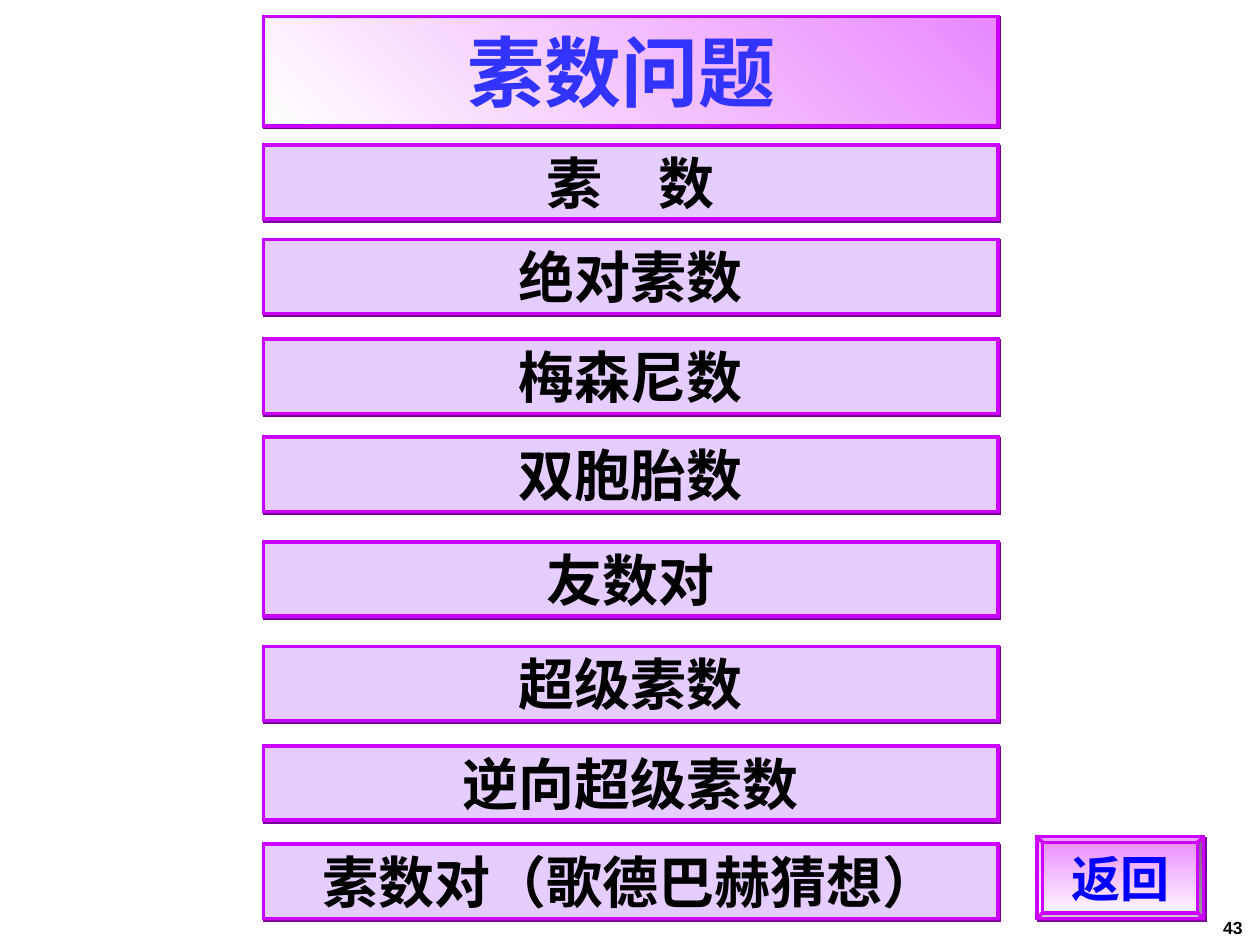
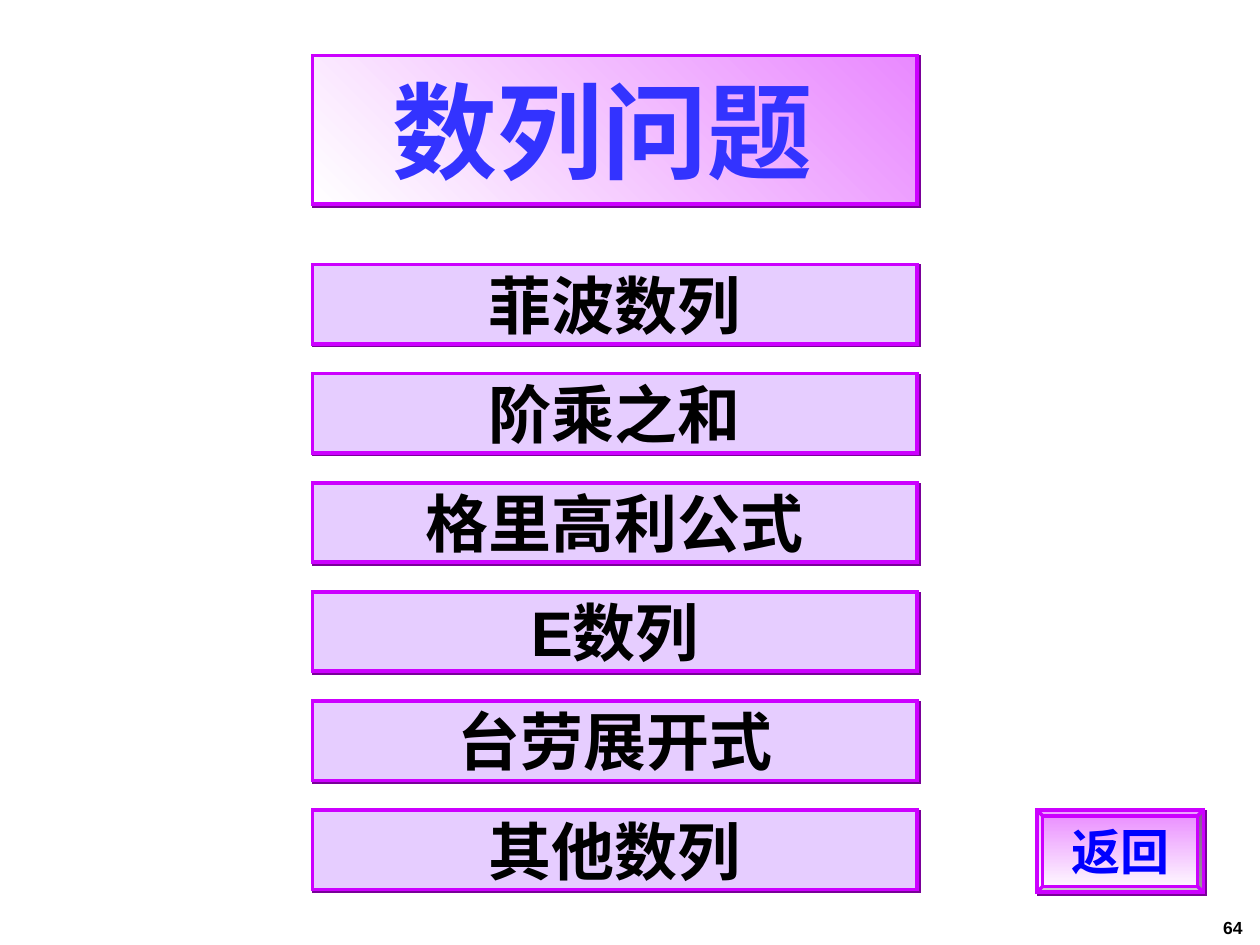
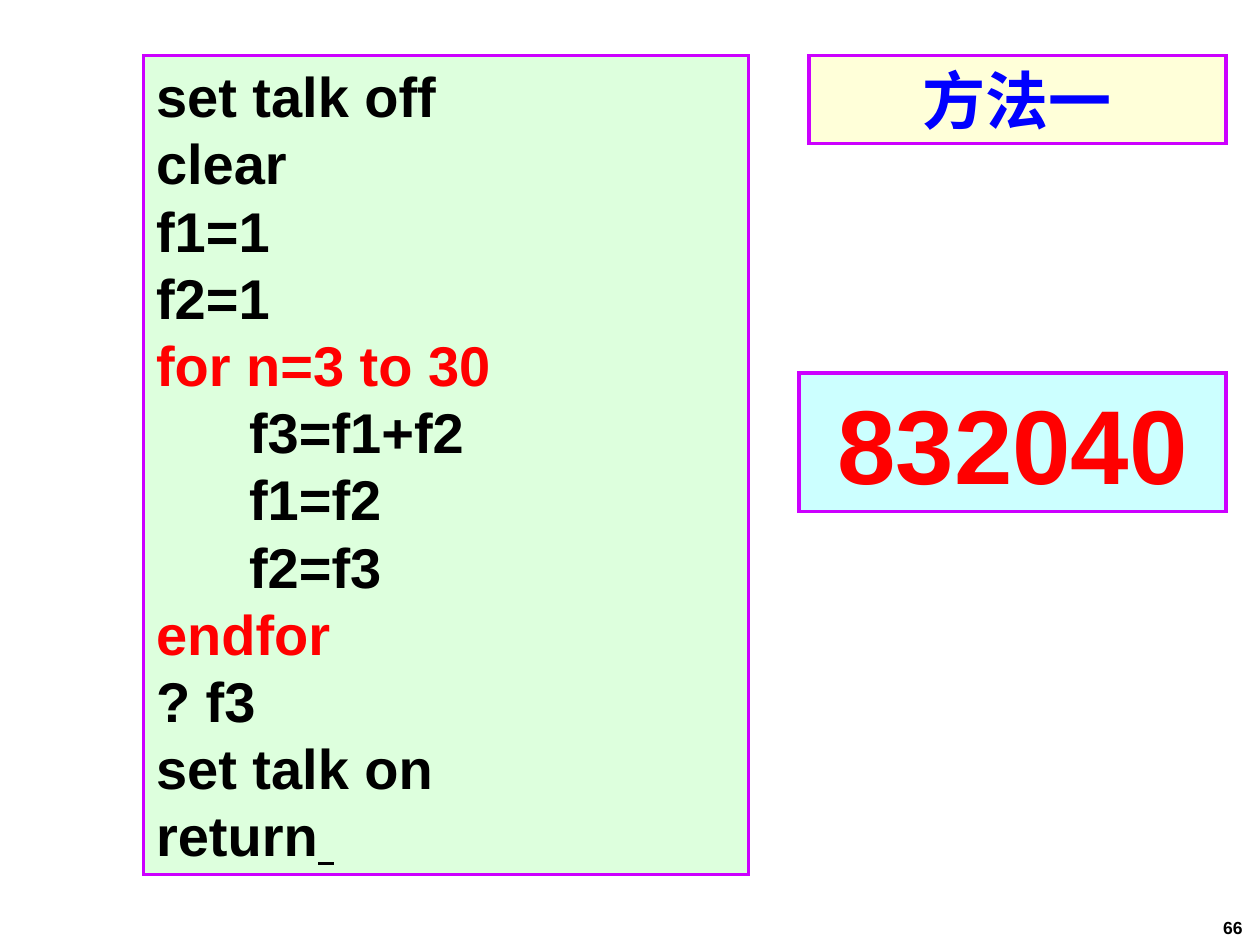
import pptx
import pptx.util
import pptx.dml.color
import pptx.enum.shapes
import pptx.enum.text
import pptx.oxml
import pptx.oxml.ns

Inches, Pt = pptx.util.Inches, pptx.util.Pt
RGBColor = pptx.dml.color.RGBColor
ALIGN = pptx.enum.text.PP_ALIGN
ANCHOR = pptx.enum.text.MSO_ANCHOR
SHAPE = pptx.enum.shapes.MSO_SHAPE

PURPLE = RGBColor(0xCC, 0x00, 0xFF)
SHADOW = RGBColor(0x7A, 0x00, 0x99)
PINK = RGBColor(0xE9, 0x89, 0xFF)
LILAC = RGBColor(0xE6, 0xCD, 0xFF)
GREEN = RGBColor(0xDD, 0xFF, 0xDD)
CYAN = RGBColor(0xCC, 0xFF, 0xFF)
CREAM = RGBColor(0xFF, 0xFF, 0xD9)
WHITE = RGBColor(0xFF, 0xFF, 0xFF)
BLACK = RGBColor(0x00, 0x00, 0x00)
RED = RGBColor(0xFF, 0x00, 0x00)
BLUE = RGBColor(0x00, 0x00, 0xFF)
TITLE_BLUE = RGBColor(0x33, 0x33, 0xFF)
SANS, SERIF = "Arial", "Times New Roman"

PRIMES = ["素　数", "绝对素数", "梅森尼数", "双胞胎数", "友数对", "超级素数",
          "逆向超级素数", "素数对（歌德巴赫猜想）"]
PRIME_TOPS = [1.15, 1.9, 2.69, 3.47, 4.3, 5.13, 5.92, 6.7]
SERIES = ["菲波数列", "阶乘之和", "格里高利公式", "E数列", "台劳展开式", "其他数列"]
SERIES_TOPS = [2.1 + (6.43 - 2.1) / 5 * i for i in range(len(SERIES))]
CODE = ["set talk off", "clear", "f1=1", "f2=1", "for n=3 to 30", "      f3=f1+f2",
        "      f1=f2", "      f2=f3", "endfor", "? f3", "set talk on", "return"]
LOOP_LINES = ("for n=3 to 30", "endfor")


def style_font(font, size, color, name):
    """Set a bold font."""
    font.size, font.bold, font.name = Pt(size), True, name
    font.color.rgb = color


def write(sp, text, size, color, name, anchor=ANCHOR.MIDDLE):
    """Write one centred line into a shape."""
    tf = sp.text_frame
    tf.word_wrap = True
    tf.vertical_anchor = anchor
    p = tf.paragraphs[0]
    p.text = text
    p.alignment = ALIGN.CENTER
    style_font(p.font, size, color, name)


def cast_shadow(sp):
    """Add the small hard shadow down and to the right."""
    xml = (f'<a:outerShdw {pptx.oxml.ns.nsdecls("a")} dist="{Pt(1.4)}" dir="2700000" '
           f'algn="ctr" rotWithShape="0"><a:srgbClr val="{SHADOW}"/></a:outerShdw>')
    effects = sp._element.spPr.find(pptx.oxml.ns.qn("a:effectLst"))
    effects.append(pptx.oxml.parse_xml(xml))


def fill_gradient(sp, start, end, angle):
    """Fill a shape with a two-colour linear gradient."""
    sp.fill.gradient()
    sp.fill.gradient_angle = angle
    for stop, color in zip(sp.fill.gradient_stops, (start, end)):
        stop.color.rgb = color


def add_panel(s, box, color, preset=SHAPE.RECTANGLE):
    """Add a shape with a plain fill and a purple mitred border."""
    sp = s.shapes.add_shape(preset, *map(Inches, box))
    sp.fill.solid()
    sp.fill.fore_color.rgb = color
    sp.shadow.inherit = False
    sp.line.color.rgb = PURPLE
    sp.line.width = Pt(2)
    miter = pptx.oxml.parse_xml(f'<a:miter {pptx.oxml.ns.nsdecls("a")} lim="800000"/>')
    sp.line._get_or_add_ln().append(miter)
    return sp


def add_title(s, box, text, size):
    """Add the gradient title panel."""
    sp = add_panel(s, box, WHITE)
    fill_gradient(sp, WHITE, PINK, 45)
    cast_shadow(sp)
    write(sp, text, size, TITLE_BLUE, SERIF)


def add_menu(s, left, width, height, tops, items, size):
    """Add a column of menu bars."""
    for top, item in zip(tops, items):
        sp = add_panel(s, (left, top, width, height), LILAC)
        cast_shadow(sp)
        write(sp, item, size, BLACK, SERIF)
        if item[0].isascii():
            p = sp.text_frame.paragraphs[0]
            p.runs[0].text = item[0]
            p.runs[0].font.name = SANS
            p.add_run().text = item[1:]


def add_back_button(s, left, top):
    """Add the bevelled return button."""
    sp = add_panel(s, (left, top, 1.32, 0.65), PINK, SHAPE.BEVEL)
    sp.adjustments[0] = 0.07
    fill_gradient(sp, PINK, WHITE, 270)
    cast_shadow(sp)
    write(sp, "返回", 28, BLUE, SERIF)


def add_code(s, box, lines):
    """Add the program listing with its loop lines in red."""
    tf = add_panel(s, box, GREEN).text_frame
    tf.word_wrap = True
    tf.vertical_anchor = ANCHOR.TOP
    for i, line in enumerate(lines):
        p = tf.add_paragraph() if i else tf.paragraphs[0]
        p.text = line
        p.alignment = ALIGN.LEFT
        p.line_spacing = Pt(38.4)
        style_font(p.font, 32, RED if line in LOOP_LINES else BLACK, SANS)
    r = p.add_run()
    r.text = " "
    r.font.italic = r.font.underline = True


def add_slide(prs, number):
    """Add a blank slide with its page number."""
    s = prs.slides.add_slide(prs.slide_layouts[6])
    sp = s.shapes.add_textbox(*map(Inches, (9.57, 7.22, 0.43, 0.28)))
    write(sp, str(number), 10, BLACK, SANS)
    return s


def add_menu_slide(prs, number, title, title_size, box, tops, items, size, height, back_top):
    """Add a slide with a title, menu bars and a return button."""
    s = add_slide(prs, number)
    add_title(s, box, title, title_size)
    add_menu(s, box[0], box[2], height, tops, items, size)
    add_back_button(s, 8.23, back_top)


def add_code_slide(prs, number):
    """Add the slide with the program and its result."""
    s = add_slide(prs, number)
    add_code(s, (1.14, 0.44, 4.8, 6.5), CODE)
    result = add_panel(s, (6.34, 2.96, 3.39, 1.1), CYAN)
    write(result, "832040", 60, RED, SANS, ANCHOR.TOP)
    method = add_panel(s, (6.42, 0.44, 3.31, 0.7), CREAM)
    write(method, "方法一", 36, BLUE, SANS, ANCHOR.TOP)


def main():
    """Build and save the deck."""
    prs = pptx.Presentation()
    prs.slide_width, prs.slide_height = Inches(10), Inches(7.5)
    add_menu_slide(prs, 43, "素数问题 ", 44, (2.09, 0.13, 5.83, 0.87),
                   PRIME_TOPS, PRIMES, 32, 0.59, 6.64)
    add_menu_slide(prs, 64, "数列问题 ", 60, (2.48, 0.44, 4.8, 1.18),
                   SERIES_TOPS, SERIES, 36, 0.63, 6.43)
    add_code_slide(prs, 66)
    prs.save("out.pptx")


if __name__ == "__main__":
    main()
